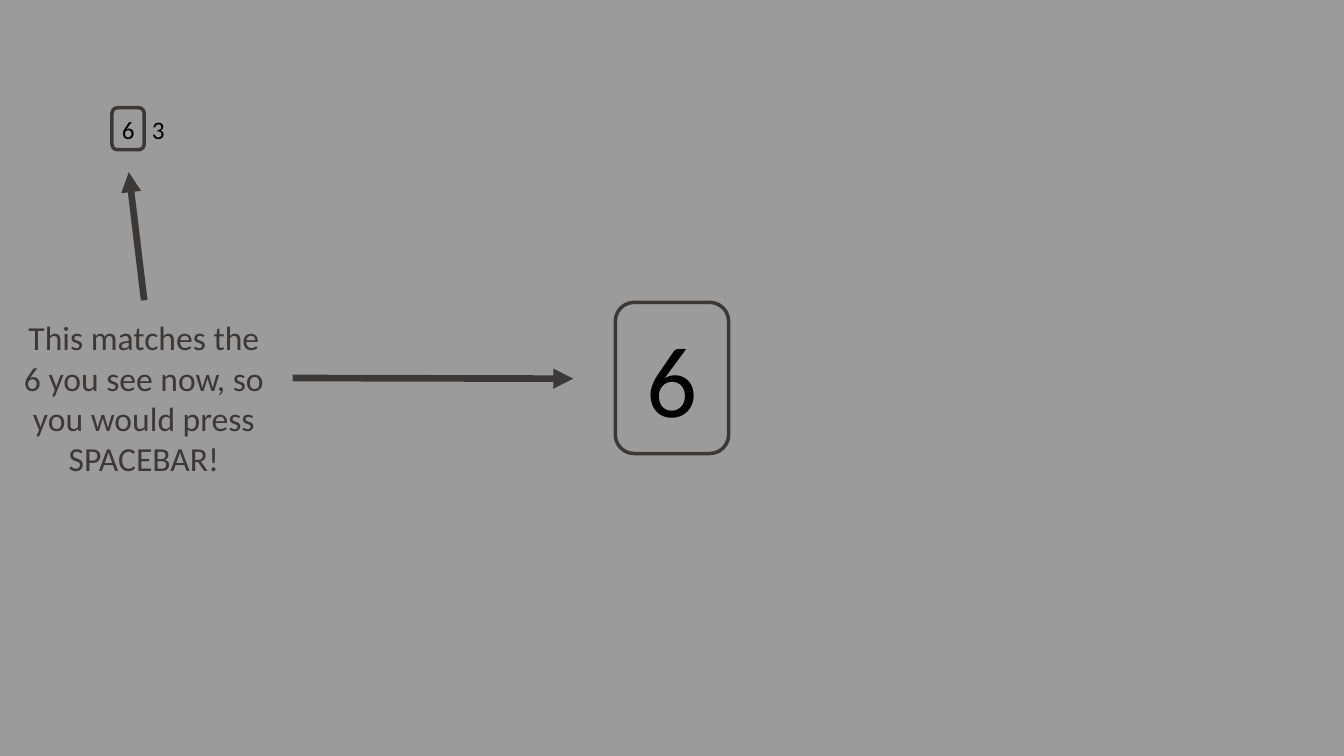
"""Build the slide explaining when a number matches the current one."""
from lxml import etree
from pptx import Presentation
from pptx.dml.color import RGBColor
from pptx.enum.shapes import MSO_CONNECTOR, MSO_SHAPE
from pptx.enum.text import PP_ALIGN
from pptx.oxml.ns import qn
from pptx.util import Pt

STRAIGHT = MSO_CONNECTOR.STRAIGHT
ROUNDED = MSO_SHAPE.ROUNDED_RECTANGLE
LEFT, CENTER = PP_ALIGN.LEFT, PP_ALIGN.CENTER
BLANK_LAYOUT = 6
FONT = "Calibri"
GRAY, DARK, BLACK = "9B9B9B", "3B3838", "000000"


def paint(color_format, color):
    """Apply a hex colour to a colour format."""
    color_format.rgb = RGBColor.from_string(color)


def add_text(slide, box, text, size, color, align=CENTER, tab=None):
    """Add a one-paragraph text box, with an optional tab stop."""
    frame = slide.shapes.add_textbox(*map(Pt, box)).text_frame
    frame.word_wrap = True
    paragraph = frame.paragraphs[0]
    paragraph.alignment = align
    if tab:
        properties = paragraph._p.get_or_add_pPr()
        stops = etree.SubElement(properties, qn("a:tabLst"))
        etree.SubElement(stops, qn("a:tab"), pos=str(Pt(tab)), algn="l")
    run = paragraph.add_run()
    run.text = text
    run.font.name = FONT
    run.font.size = Pt(size)
    paint(run.font.color, color)


def add_frame(slide, box):
    """Add an unfilled rounded outline around a number."""
    frame = slide.shapes.add_shape(ROUNDED, *map(Pt, box))
    frame.shadow.inherit = False
    frame.fill.background()
    frame.line.width = Pt(2.5)
    paint(frame.line.color, DARK)


def add_arrow(slide, start, end):
    """Add a thick arrow from start to end."""
    arrow = slide.shapes.add_connector(STRAIGHT, *map(Pt, start + end))
    arrow.line.width = Pt(4.75)
    paint(arrow.line.color, DARK)
    etree.SubElement(arrow.line._get_or_add_ln(), qn("a:tailEnd"), type="triangle")
    etree.SubElement(arrow._element.spPr, qn("a:effectLst"))


def main():
    """Build and save the slide."""
    deck = Presentation()
    deck.slide_width, deck.slide_height = Pt(960), Pt(540)
    slide = deck.slides.add_slide(deck.slide_layouts[BLANK_LAYOUT])
    background = slide.background.fill
    background.solid()
    paint(background.fore_color, GRAY)

    add_text(slide, (454.5, 222.5, 51, 94.5), "6", 72, BLACK)
    add_text(slide, (80, 78, 50, 29), "6\t3", 18, BLACK, LEFT, tab=21.5)
    add_frame(slide, (80, 77, 23, 30))
    add_arrow(slide, (103, 214.5), (92, 123))
    add_text(slide, (6, 223, 193.5, 124),
             "This matches the 6 you see now, so you would press SPACEBAR!",
             24, DARK)
    add_arrow(slide, (209, 270), (409.5, 270.5))
    add_frame(slide, (439.5, 216, 81, 108))
    deck.save("out.pptx")


main()
